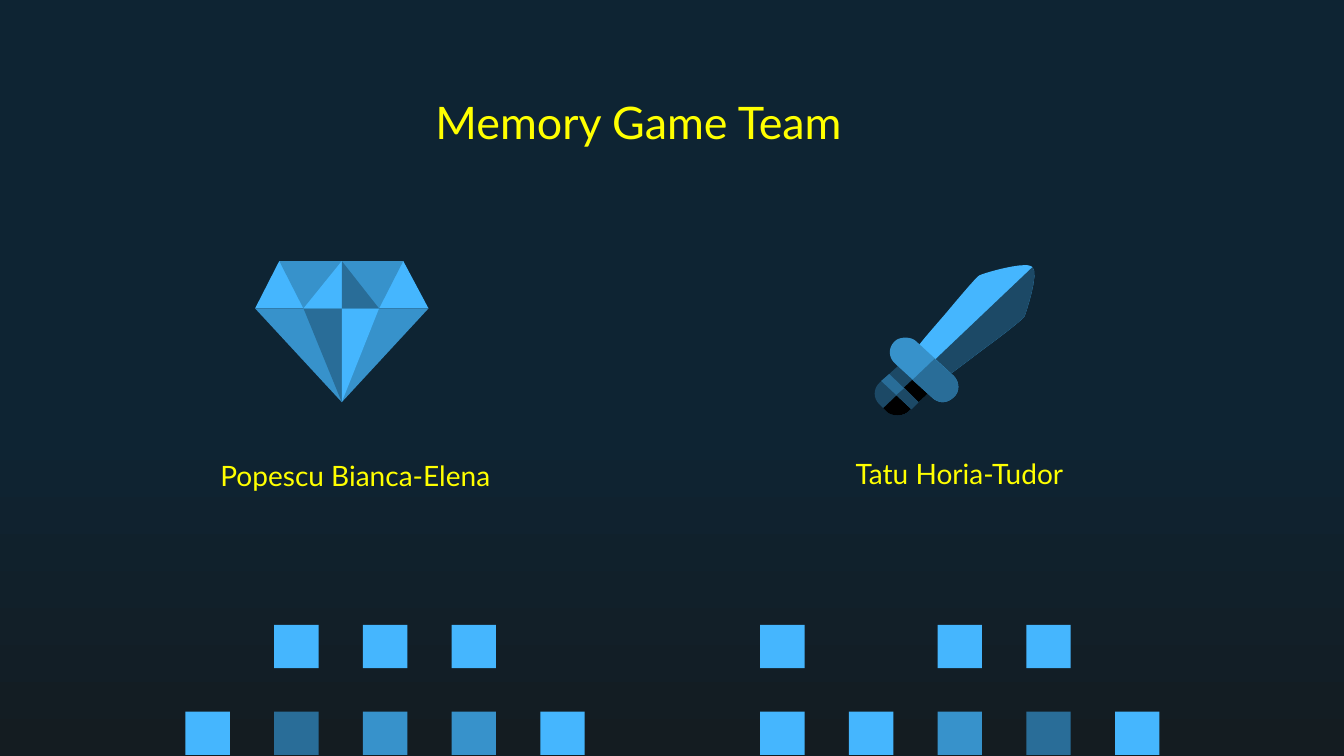
from pptx import Presentation
from pptx.dml.color import RGBColor
from pptx.enum.shapes import MSO_SHAPE
from pptx.enum.text import MSO_ANCHOR, PP_ALIGN
from pptx.util import Pt

RECTANGLE = MSO_SHAPE.RECTANGLE
MIDDLE = MSO_ANCHOR.MIDDLE
CENTER = PP_ALIGN.CENTER

EMU_PER_PX = 9144
CURVE_STEPS = 8

NIGHT = RGBColor(0x0E, 0x24, 0x33)
COAL = RGBColor(0x14, 0x1C, 0x21)
SKY = RGBColor(0x45, 0xB6, 0xFE)
BLUE = RGBColor(0x37, 0x92, 0xCB)
STEEL = RGBColor(0x29, 0x6D, 0x98)
NAVY = RGBColor(0x1C, 0x49, 0x66)
BLACK = RGBColor(0, 0, 0)
YELLOW = RGBColor(0xFF, 0xFF, 0)

TILE_WIDTH, TILE_HEIGHT, TILE_STEP = 44, 43, 88
TILE_ROWS = (
    (620, 184, (None, SKY, SKY, SKY, None)),
    (706, 184, (SKY, STEEL, BLUE, BLUE, SKY)),
    (620, 754, (SKY, None, SKY, SKY, None)),
    (706, 754, (SKY, SKY, BLUE, STEEL, SKY)),
)

TOP_LEFT, TOP, TOP_RIGHT = (277, 259), (339, 259), (400, 259)
GIRDLE_LEFT, INNER_LEFT, GIRDLE = (253, 306), (301, 306), (339, 306)
INNER_RIGHT, GIRDLE_RIGHT, TIP = (376, 306), (425, 306), (339, 399)
DIAMOND = (
    (SKY, (TOP_LEFT, GIRDLE_LEFT, GIRDLE_RIGHT, TOP_RIGHT)),
    (BLUE, (GIRDLE_LEFT, TIP, GIRDLE_RIGHT)),
    (STEEL, (INNER_LEFT, TIP, GIRDLE)),
    (SKY, (GIRDLE, TIP, INNER_RIGHT)),
    (BLUE, (TOP_LEFT, INNER_LEFT, INNER_RIGHT, TOP_RIGHT)),
    (SKY, (TOP, INNER_LEFT, GIRDLE)),
    (STEEL, (TOP, GIRDLE, INNER_RIGHT)),
)

POMMEL_END = ((879, 408), (882, 411, 886, 412, 890, 412),
              (894, 412, 898, 411, 901, 408), (911, 399))
BLADE_EDGE = ((938, 374), (943, 371, 952, 364, 976, 346),
              (1014, 318, 1015, 315, 1016, 314),
              (1017, 312, 1031, 271, 1024, 265))
GUARD_END = ((924, 394), (927, 397, 931, 399, 935, 399),
             (939, 399, 943, 397, 946, 394),
             (952, 389, 952, 379, 946, 373))
SWORD = (
    (NAVY, ((882, 371), (872, 380), (866, 386, 866, 395, 872, 401), *POMMEL_END)),
    (BLACK, ((897, 385), (876, 405), *POMMEL_END)),
    (NAVY, ((894, 360), (882, 371), (882, 376), (906, 399), (911, 399), (924, 387))),
    (BLACK, ((909, 373), (894, 387), (906, 399), (911, 399), (924, 387))),
    (SKY, ((1017, 263), (1002, 263, 973, 272, 972, 273),
           (971, 273, 968, 275, 938, 311), (919, 333, 912, 341, 909, 346),
           *BLADE_EDGE, (1023, 264, 1020, 263, 1017, 263))),
    (NAVY, ((1024, 265), (924, 360), *BLADE_EDGE)),
    (STEEL, ((882, 371), (874, 378), (904, 406), (911, 399))),
    (NAVY, ((897, 385), (889, 392), (904, 406), (911, 399))),
    (BLUE, ((898, 335), (894, 335, 890, 336, 887, 339),
            (881, 345, 881, 354, 887, 360), *GUARD_END, (909, 339),
            (906, 336, 902, 335, 898, 335))),
    (STEEL, ((927, 356), (905, 377), *GUARD_END)),
)


def emu(px):
    """Turn px into EMU."""
    return round(px * EMU_PER_PX)


def flatten(outline):
    """Return the outline as points, with each cubic curve cut into short lines."""
    points = [outline[0]]
    for segment in outline[1:]:
        if len(segment) == 2:
            points.append(segment)
            continue
        controls = (points[-1], segment[:2], segment[2:4], segment[4:])
        for step in range(1, CURVE_STEPS + 1):
            t = step / CURVE_STEPS
            weights = ((1 - t) ** 3, 3 * t * (1 - t) ** 2, 3 * t * t * (1 - t), t ** 3)
            points.append(tuple(
                sum(weight * control[axis] for weight, control in zip(weights, controls))
                for axis in (0, 1)))
    return points


class SlideBuilder:
    """Draws the elements of one slide in a shared style."""

    def __init__(self, slide, font="Lato", text_color=YELLOW, inset=13):
        self.slide = slide
        self.font = font
        self.text_color = text_color
        self.inset = emu(inset)

    def background(self, top_color, bottom_color, start):
        """Fill the background with a vertical gradient."""
        fill = self.slide.background.fill
        fill.gradient()
        fill.gradient_angle = 270
        for stop, color, position in zip(
                fill.gradient_stops, (top_color, bottom_color), (start, 1)):
            stop.color.rgb = color
            stop.position = position

    def paint(self, shape, color):
        """Give a shape a plain fill without line or shadow."""
        shape.fill.solid()
        shape.fill.fore_color.rgb = color
        shape.line.fill.background()
        shape.shadow.inherit = False

    def tile(self, left, top, width, height, color):
        """Draw a tile."""
        shape = self.slide.shapes.add_shape(
            RECTANGLE, emu(left), emu(top), emu(width), emu(height))
        self.paint(shape, color)

    def facet(self, color, outline):
        """Draw one filled outline and return its shape."""
        points = [(emu(x), emu(y)) for x, y in flatten(outline)]
        builder = self.slide.shapes.build_freeform(*points[0])
        builder.add_line_segments(points[1:], close=True)
        shape = builder.convert_to_shape()
        self.paint(shape, color)
        return shape

    def icon(self, facets):
        """Draw coloured outlines and group them."""
        shapes = [self.facet(color, outline) for color, outline in facets]
        self.slide.shapes.add_group_shape(shapes)

    def text(self, content, left, top, width, height, size=20):
        """Write a centred line of text."""
        box = self.slide.shapes.add_textbox(
            emu(left), emu(top), emu(width), emu(height))
        frame = box.text_frame
        frame.word_wrap = True
        frame.vertical_anchor = MIDDLE
        frame.margin_left = frame.margin_right = self.inset
        frame.margin_top = frame.margin_bottom = self.inset
        paragraph = frame.paragraphs[0]
        paragraph.alignment = CENTER
        run = paragraph.add_run()
        run.text = content
        run.font.name = self.font
        run.font.size = Pt(size)
        run.font.color.rgb = self.text_color


def main():
    """Build the team slide and save it."""
    presentation = Presentation()
    presentation.slide_width = emu(1333)
    presentation.slide_height = emu(750)
    slide = presentation.slides.add_slide(presentation.slide_layouts[6])
    builder = SlideBuilder(slide)
    builder.background(NIGHT, COAL, start=0.56)
    for top, left, colors in TILE_ROWS:
        for column, color in enumerate(colors):
            if color is not None:
                builder.tile(left + column * TILE_STEP, top,
                             TILE_WIDTH, TILE_HEIGHT, color)
    builder.text("Memory Game Team", 43, 60, 1181, 121, size=32)
    builder.text("Popescu Bianca-Elena", 43, 447, 619, 50)
    builder.text("Tatu Horia-Tudor", 689, 445, 525, 50)
    builder.icon(SWORD)
    builder.icon(DIAMOND)
    presentation.save("out.pptx")


if __name__ == "__main__":
    main()
